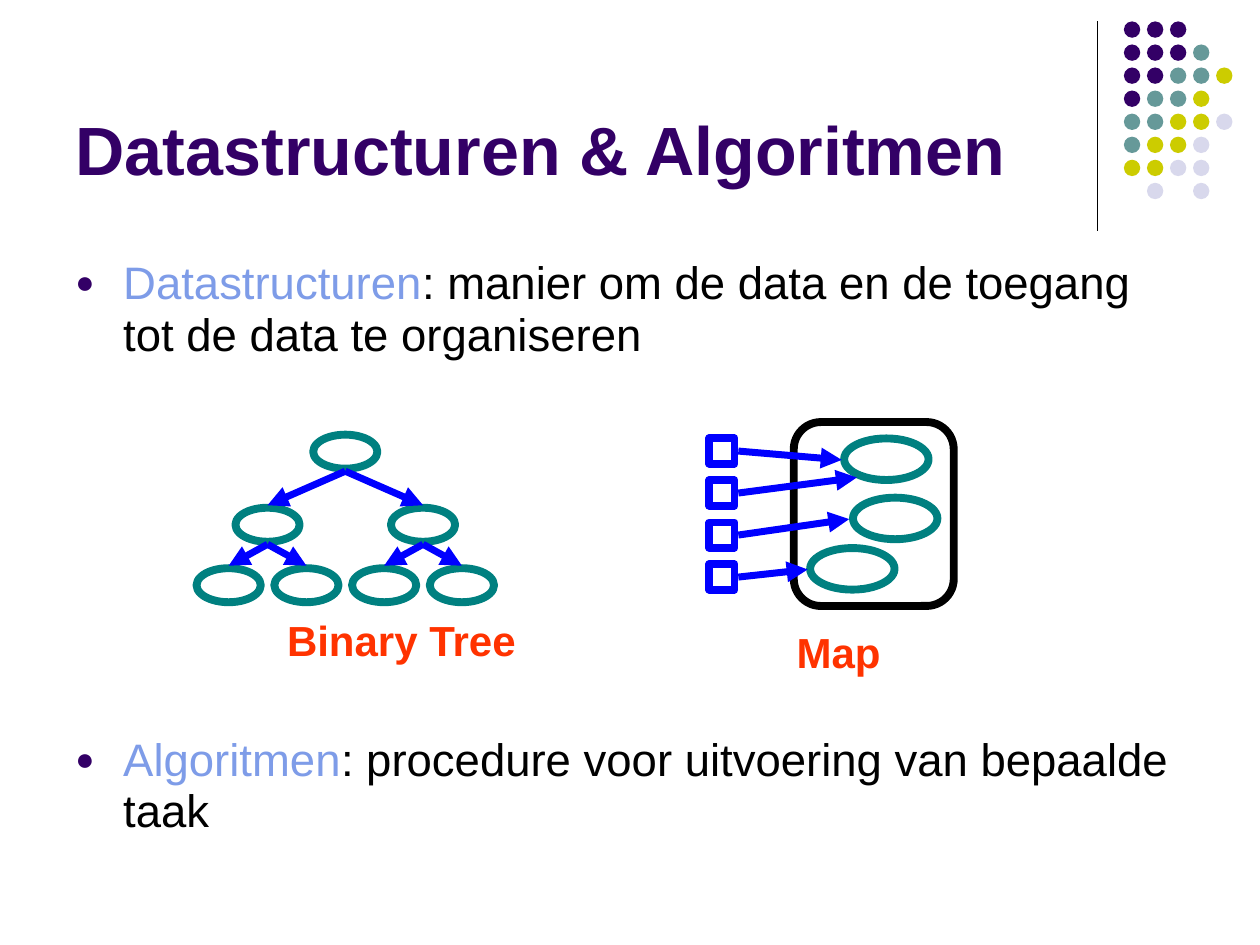
from pptx import Presentation
from pptx import util as u
from pptx.dml.color import RGBColor
from pptx.enum import shapes, text
from pptx.oxml.ns import qn
from lxml import etree

Inches, Pt = u.Inches, u.Pt
OVAL = shapes.MSO_SHAPE.OVAL
PURPLE, TEAL, BLUE, ORANGE = "330066", "008080", "0000FF", "FF3300"
THICK = 4.5

prs = Presentation()
prs.slide_width, prs.slide_height = Inches(10), Inches(7.5)
slide = prs.slides.add_slide(prs.slide_layouts[6])


def rgb(value):
    return RGBColor.from_string(value)


def add_outline(kind, left, top, width, height, fill=None, line=None):
    shape = slide.shapes.add_shape(
        kind, Inches(left), Inches(top), Inches(width), Inches(height))
    shape.shadow.inherit = False
    if fill:
        shape.fill.solid()
        shape.fill.fore_color.rgb = rgb(fill)
    else:
        shape.fill.background()
    if line:
        shape.line.color.rgb = rgb(line)
        shape.line.width = Pt(THICK)
    else:
        shape.line.fill.background()
    return shape


def add_line(start, end, color, width, arrow=False):
    line = slide.shapes.add_connector(
        shapes.MSO_CONNECTOR.STRAIGHT, *[Inches(v) for v in (*start, *end)])
    line.line.color.rgb = rgb(color)
    line.line.width = Pt(width)
    if arrow:
        etree.SubElement(line.line._get_or_add_ln(), qn("a:tailEnd"), type="triangle")
    etree.SubElement(line._element.spPr, qn("a:effectLst"))


def add_run(paragraph, words, size, color, bold=False):
    run = paragraph.add_run()
    run.text = words
    run.font.name = "Arial"
    run.font.size = Pt(size)
    run.font.bold = bold
    run.font.color.rgb = rgb(color)


def add_text(words, box, size=24, color=ORANGE, bold=True, wrap=True,
             align=text.PP_ALIGN.LEFT, anchor=text.MSO_ANCHOR.TOP):
    frame = slide.shapes.add_textbox(*[Inches(v) for v in box]).text_frame
    frame.word_wrap = wrap
    frame.vertical_anchor = anchor
    paragraph = frame.paragraphs[0]
    paragraph.alignment = align
    if words:
        add_run(paragraph, words, size, color, bold)
    return frame


def add_bullet(paragraph):
    props = paragraph._p.get_or_add_pPr()
    props.set("marL", str(Inches(0.38)))
    props.set("indent", str(-Inches(0.38)))
    color = etree.SubElement(props, qn("a:buClr"))
    etree.SubElement(color, qn("a:srgbClr"), val=PURPLE)
    etree.SubElement(props, qn("a:buSzPct"), val="70000")
    etree.SubElement(props, qn("a:buFont"), typeface="Arial")
    etree.SubElement(props, qn("a:buChar"), char="●")


def corner_dots(left, top):
    """Divider line and the dot pattern to its right."""
    add_line((left, top), (left, top + 1.66), "000000", 0.75)
    colors = {"p": PURPLE, "t": "669999", "y": "CCCC00", "l": "D8D8EC"}
    rows = ["ppp", "pppt", "pptty", "ptty", "ttyyl", "tyyl", "yyll", " l l"]
    pitch = 0.183
    for row, pattern in enumerate(rows):
        for column, key in enumerate(pattern):
            if key in colors:
                add_outline(OVAL, left + 0.21 + column * pitch, top + row * pitch,
                            0.13, 0.13, fill=colors[key])


def definitions(left, top, width, height):
    """Two bulleted definitions with room for the drawings between them."""
    frame = add_text("", (left, top, width, height))
    items = [
        ("Datastructuren", ": manier om de data en de toegang tot de data te organiseren", 0),
        ("Algoritmen", ": procedure voor uitvoering van bepaalde taak", 213),
    ]
    for number, (term, meaning, gap) in enumerate(items):
        paragraph = frame.add_paragraph() if number else frame.paragraphs[0]
        paragraph.line_spacing = 0.95
        paragraph.space_before = Pt(gap)
        add_bullet(paragraph)
        add_run(paragraph, term, 26, "7E9CE8")
        add_run(paragraph, meaning, 26, "000000")


def binary_tree(left, top):
    """Three levels; every parent sits midway above its two children."""
    node_w, node_h, gap = 0.51, 0.27, 0.02
    level_tops = [top, top + 0.58, top + 1.06]
    leaves = [left + node_w / 2 + 0.617 * i for i in range(4)]
    parents = [sum(leaves[i:i + 2]) / 2 for i in (0, 2)]
    levels = [[sum(parents) / 2], parents, leaves]
    for centers, node_top in zip(levels, level_tops):
        for center in centers:
            add_outline(OVAL, center - node_w / 2, node_top, node_w, node_h, line=TEAL)
    for depth in (1, 2):
        for i, child in enumerate(levels[depth]):
            add_line((levels[depth - 1][i // 2], level_tops[depth - 1] + node_h + gap),
                     (child, level_tops[depth] - gap), BLUE, 4, arrow=True)
    add_text("Binary Tree", (left + 0.62, top + 1.38, 2.03, 0.5), wrap=False)


def key_map(left, top):
    """Keys on the left point at values inside the rounded frame."""
    frame = add_outline(shapes.MSO_SHAPE.ROUNDED_RECTANGLE,
                        left + 0.67, top, 1.27, 1.46, line="000000")
    frame.adjustments[0] = 0.17
    for x, y in [(1.14, 0.6), (1.07, 0.13), (0.8, 1.0)]:
        add_outline(OVAL, left + x, top + y, 0.67, 0.33, line=TEAL)
    targets = [(1.05, 0.3), (1.17, 0.44), (1.11, 0.77), (0.78, 1.17)]
    for i, (x, y) in enumerate(targets):
        key_top = top + 0.13 + i / 3
        add_outline(shapes.MSO_SHAPE.RECTANGLE, left, key_top, 0.2, 0.2, line=BLUE)
        add_line((left + 0.23, key_top + 0.1), (left + x, top + y), BLUE, 4, arrow=True)
    add_text("Map", (left + 0.29, top + 1.57, 1.47, 0.5), align=text.PP_ALIGN.CENTER)


corner_dots(8.71, 0.17)
add_text("Datastructuren & Algoritmen", (0.5, 0.13, 8.25, 1.42), size=39,
         color=PURPLE, anchor=text.MSO_ANCHOR.BOTTOM)
definitions(0.5, 2, 9, 4.82)
key_map(5.63, 3.35)
binary_tree(1.56, 3.45)

prs.save("out.pptx")
